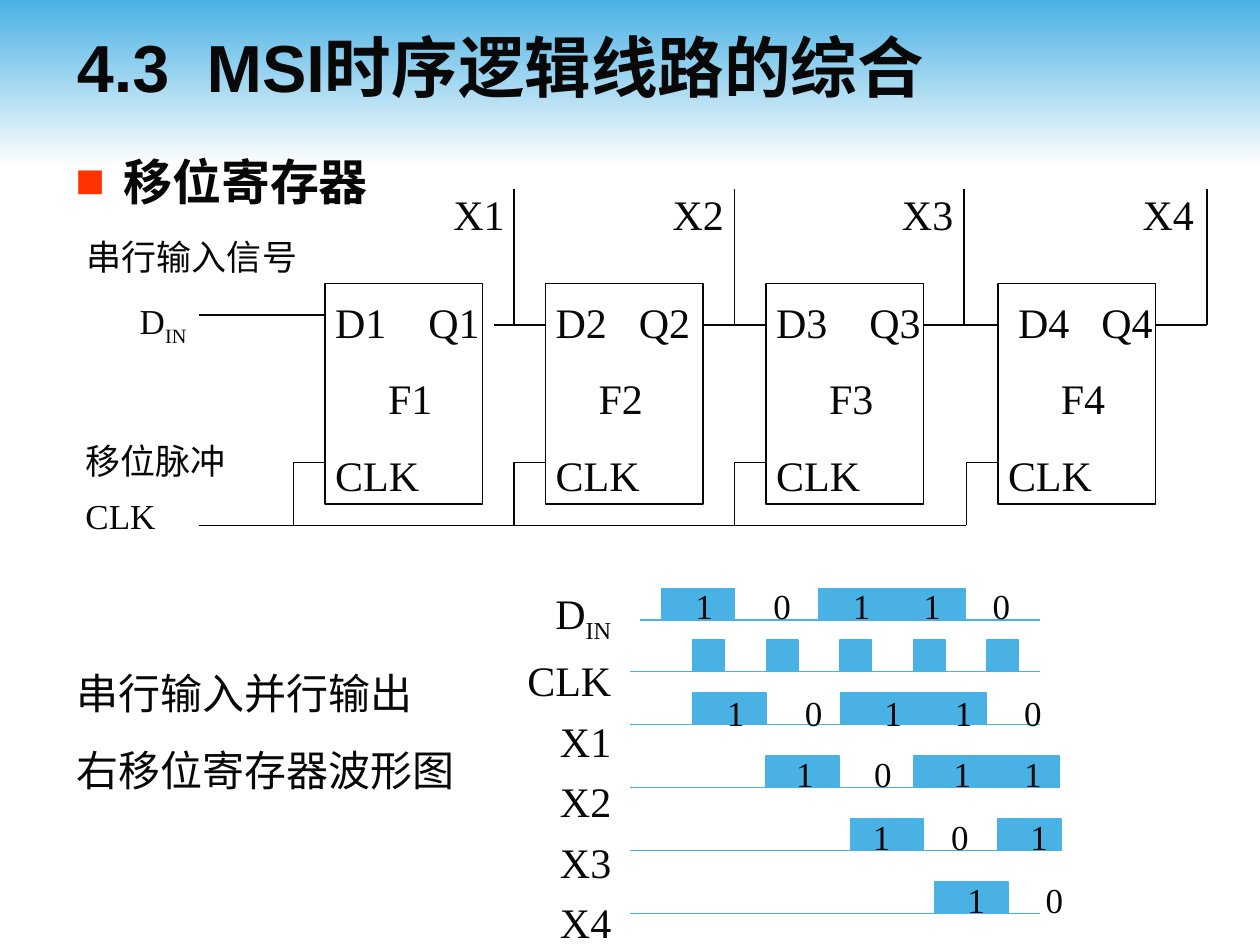
from dataclasses import dataclass
from lxml import etree
from pptx import Presentation
from pptx.dml.color import RGBColor
from pptx.enum.shapes import MSO_CONNECTOR, MSO_SHAPE
from pptx.enum.text import MSO_ANCHOR, PP_ALIGN
from pptx.oxml.ns import qn
from pptx.util import Inches, Pt

RECTANGLE = MSO_SHAPE.RECTANGLE
STRAIGHT = MSO_CONNECTOR.STRAIGHT
TOP, MIDDLE = MSO_ANCHOR.TOP, MSO_ANCHOR.MIDDLE
LEFT, RIGHT = PP_ALIGN.LEFT, PP_ALIGN.RIGHT


@dataclass(frozen=True)
class Theme:
    ink: RGBColor = RGBColor(0x08, 0x08, 0x08)
    accent: RGBColor = RGBColor(0x4A, 0xB1, 0xE4)
    paper: RGBColor = RGBColor(0xFF, 0xFF, 0xFF)
    bullet: str = "FF3300"
    serif: str = "Times New Roman"
    sans: str = "Arial"
    cjk: str = "Noto Sans CJK JP"
    title: int = 38
    heading: int = 28
    label: int = 24
    small: int = 20


THEME = Theme()


@dataclass(frozen=True)
class Box:
    left: float
    top: float
    width: float
    height: float

    def inner(self, dx, dy, width, height):
        return Box(self.left + dx, self.top + dy, width, height)

    def emu(self):
        return [Inches(v) for v in (self.left, self.top, self.width, self.height)]


def write(frame, lines, size, font=THEME.serif, bold=False, before=0, spacing=None,
          align=LEFT, stops=(), indents=(), insets=(0.1, 0.05), anchor=TOP):
    settings = {"word_wrap": True, "vertical_anchor": anchor,
                "margin_left": Inches(insets[0]), "margin_right": Inches(insets[0]),
                "margin_top": Inches(insets[1]), "margin_bottom": Inches(insets[1])}
    for name, value in settings.items():
        setattr(frame, name, value)
    for i, line in enumerate(lines):
        paragraph = frame.paragraphs[0] if i == 0 else frame.add_paragraph()
        paragraph.alignment = align
        paragraph.space_before = Pt(before if i else 0)
        if spacing:
            paragraph.line_spacing = spacing
        properties = paragraph._p.get_or_add_pPr()
        if i < len(indents):
            properties.set("marL", str(Inches(indents[i])))
        if "\t" in line:
            tabs = etree.SubElement(properties, qn("a:tabLst"))
            for stop in stops:
                etree.SubElement(tabs, qn("a:tab"), pos=str(Inches(stop)), algn="l")
        for level, part in enumerate(line.split("_")):
            run = paragraph.add_run()
            run.text = part
            for name, value in {"size": Pt(size), "name": font, "bold": bold}.items():
                setattr(run.font, name, value)
            run.font.color.rgb = THEME.ink
            run_properties = run._r.get_or_add_rPr()
            etree.SubElement(run_properties, qn("a:ea"), typeface=THEME.cjk)
            if level:
                run_properties.set("baseline", "-25000")


def add_text(slide, box, lines, size, **style):
    frame = slide.shapes.add_textbox(*box.emu()).text_frame
    write(frame, lines, size, **style)
    return frame


def add_rectangle(slide, box, fill=None, line=None):
    shape = slide.shapes.add_shape(RECTANGLE, *box.emu())
    shape.shadow.inherit = False
    if fill:
        shape.fill.solid()
        shape.fill.fore_color.rgb = fill
    else:
        shape.fill.background()
    if line:
        shape.line.color.rgb = line
        shape.line.width = Pt(1)
    else:
        shape.line.fill.background()
    return shape


def add_wire(slide, box, start, end, color=THEME.ink, width=1):
    ends = [Inches(v) for x, y in (start, end) for v in (box.left + x, box.top + y)]
    wire = slide.shapes.add_connector(STRAIGHT, *ends)
    wire.line.color.rgb = color
    wire.line.width = Pt(width)
    etree.SubElement(wire._element.spPr, qn("a:effectLst"))


def add_header(slide, box):
    band = add_rectangle(slide, box)
    band.fill.gradient()
    band.fill.gradient_angle = 270
    for stop, color in zip(band.fill.gradient_stops, (THEME.accent, THEME.paper)):
        stop.color.rgb = color
    slide.shapes._spTree.insert(2, band._element)
    title = slide.shapes.title
    place = box.inner(0.51, 0.05, 9, 0.95).emu()
    for name, value in zip(("left", "top", "width", "height"), place):
        setattr(title, name, value)
    write(title.text_frame, ["4.3\tMSI时序逻辑线路的综合"], THEME.title, font=THEME.sans,
          bold=True, stops=(1.03,), anchor=MIDDLE)


def add_heading(slide, box):
    frame = add_text(slide, box, ["移位寄存器"], THEME.heading, font=THEME.cjk,
                     bold=True, indents=(0.38,))
    properties = frame.paragraphs[0]._p.get_or_add_pPr()
    properties.set("indent", str(-Inches(0.38)))
    color = etree.SubElement(properties, qn("a:buClr"))
    etree.SubElement(color, qn("a:srgbClr"), val=THEME.bullet)
    etree.SubElement(properties, qn("a:buFont"), typeface=THEME.sans)
    etree.SubElement(properties, qn("a:buChar"), char="■")


def add_register(slide, box):
    data_y, clock_y, bus_y = 1.08, 2.17, 2.67
    gates = [(2.08, "D1\tQ1", (0.74,), 0.42, 3.42, 3.58, 3.83),
             (3.83, "D2\tQ2", (0.66,), 0.34, 5.08, 5.33, 5.58),
             (5.58, "D3\tQ3", (0.74,), 0.42, 6.83, 7.15, 7.42),
             (7.42, "\tD4\tQ4", (0.08, 0.74), 0.42, 8.67, 9.08, 9.08)]
    for number, (x, pins, stops, name_x, q_x, tap_x, next_x) in enumerate(gates, 1):
        gate = add_rectangle(slide, box.inner(x, 0.75, 1.25, 1.75), line=THEME.ink)
        write(gate.text_frame, [pins, f"F{number}", "CLK"], THEME.label, before=15,
              stops=stops, indents=(0, name_x), insets=(0.08, 0.1))
        gate.text_frame.margin_right = 0
        add_wire(slide, box, (q_x, data_y), (next_x, data_y))
        add_wire(slide, box, (tap_x, data_y), (tap_x, 0))
        add_wire(slide, box, (x, clock_y), (x - 0.25, clock_y), width=0.75)
        add_wire(slide, box, (x - 0.25, clock_y), (x - 0.25, bus_y))
    add_wire(slide, box, (2.08, 1), (1.08, 1), width=0.75)
    add_wire(slide, box, (7.17, bus_y), (1.08, bus_y), width=0.75)
    add_text(slide, box.inner(3, -0.05, 6.08, 0.5), ["X1\tX2\tX3\tX4"], THEME.label,
             stops=(1.74, 3.56, 5.47))
    add_text(slide, box.inner(0.09, 0.36, 2.42, 0.92), ["串行输入信号", "D_IN"],
             THEME.small, before=12.5, spacing=0.9, indents=(0, 0.42))
    add_text(slide, box.inner(0.08, 2, 1.92, 0.81), ["移位脉冲", "CLK"],
             THEME.small, before=12.5, spacing=0.8)


def add_waveforms(slide, box):
    bit, pulse_height = 0.58, 0.25
    clock = [(1.5 + i * 7 / 12, 0.25) for i in range(5)]
    signals = [(0.42, 1.08, [(1.25, bit), (2.5, 2 * bit)], 1.42, 0.09, "10110"),
               (0.83, 1, clock, 0, 0, ""),
               (1.25, 1, [(1.5, bit), (2.67, 2 * bit)], 1.67, 0.94, "10110"),
               (1.75, 1, [(2.08, bit), (3.25, 2 * bit)], 2.22, 1.42, "1011"),
               (2.25, 1, [(2.75, bit), (3.92, 0.5)], 2.83, 1.92, "101"),
               (2.75, 1, [(3.42, bit)], 3.58, 2.42, "10")]
    for base, start, pulses, bits_x, bits_y, bits in signals:
        for x, width in pulses:
            add_rectangle(slide, box.inner(x, base - pulse_height, width, pulse_height),
                          fill=THEME.accent, line=THEME.accent)
        add_wire(slide, box, (start, base), (4.25, base), color=THEME.accent)
        if bits:
            width = 1.5 if len(bits) == 2 else 3.17
            add_text(slide, box.inner(bits_x, bits_y, width, 0.44), ["\t".join(bits)],
                     THEME.small, stops=(0.62, 1.25, 1.81, 2.36))
    add_text(slide, box.inner(-0.05, 0.02, 1, 2.98),
             ["D_IN", "CLK", "X1", "X2", "X3", "X4"], THEME.label,
             align=RIGHT, spacing=1.2)


def add_caption(slide, box):
    add_text(slide, box, ["串行输入并行输出", "右移位寄存器波形图"], THEME.label, before=15)


def main():
    deck = Presentation()
    deck.slide_width, deck.slide_height = Inches(10), Inches(7.5)
    slide = deck.slides.add_slide(deck.slide_layouts[5])
    add_header(slide, Box(0, 0, 10, 1.33))
    add_heading(slide, Box(0.5, 1.15, 3, 0.6))
    add_register(slide, Box(0.5, 1.5, 9.08, 2.67))
    add_waveforms(slide, Box(4, 4.5, 5, 3))
    add_caption(slide, Box(0.51, 5.25, 3.31, 1.11))
    deck.save("out.pptx")


if __name__ == "__main__":
    main()
